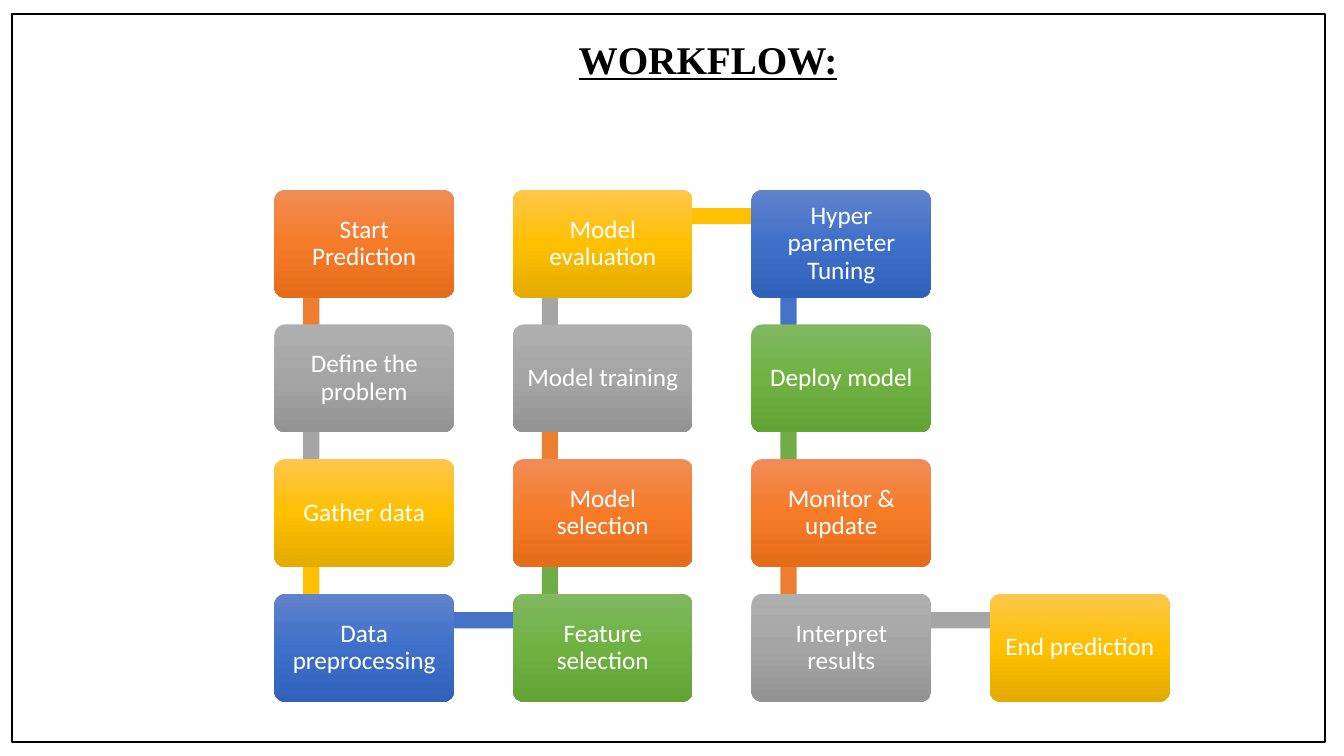
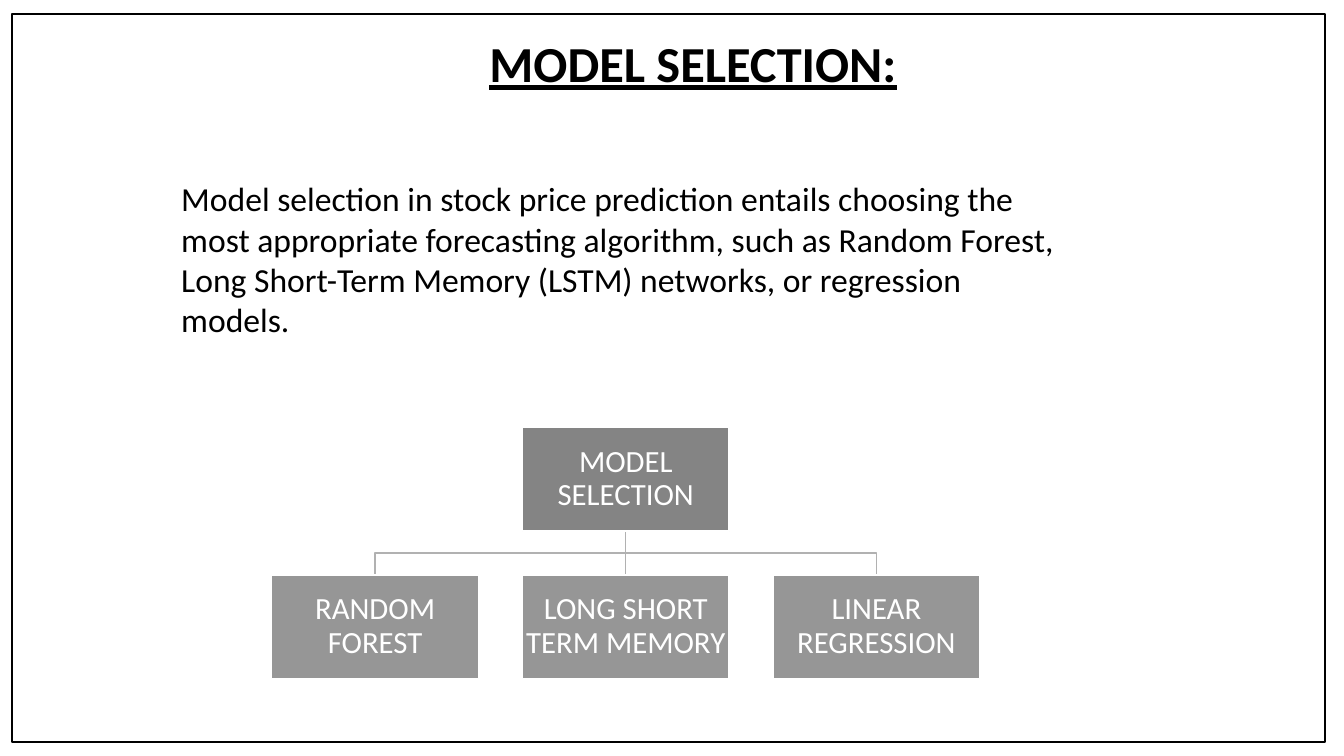
from copy import deepcopy
from functools import reduce
from itertools import cycle

from lxml.etree import SubElement
from pptx import Presentation
from pptx.dml.color import RGBColor
from pptx.enum.shapes import MSO_CONNECTOR, MSO_SHAPE
from pptx.enum.text import MSO_ANCHOR, MSO_AUTO_SIZE, PP_ALIGN
from pptx.oxml.ns import qn
from pptx.util import Pt

# Content
FLOW = {
    "title": "WORKFLOW:",
    "steps": [
        "Start Prediction", "Define the problem", "Gather data", "Data preprocessing",
        "Feature selection", "Model selection", "Model training", "Model evaluation",
        "Hyper parameter Tuning", "Deploy model", "Monitor & update", "Interpret results",
        "End prediction",
    ],
}
MODEL = {
    "title": "MODEL SELECTION:",
    "body": "Model selection in stock price prediction entails choosing the most "
            "appropriate forecasting algorithm, such as Random Forest, Long Short-Term "
            "Memory (LSTM) networks, or regression models.",
    "root": "MODEL SELECTION",
    "kids": ["RANDOM FOREST", "LONG SHORT TERM MEMORY", "LINEAR REGRESSION"],
}


# Theme
class Theme:
    black, white = "000000", "FFFFFF"
    root, kid, link = "848484", "969696", "B1B1B1"
    # Bar colour, then the box gradient from top to bottom
    hues = [
        ("ED7D31", ("F18C57", "F67B28", "E56C19")),
        ("A5A5A5", ("AFAFAF", "A5A5A5", "939393")),
        ("FFC000", ("FFC64B", "FFC000", "E3AB00")),
        ("4472C4", ("6183CB", "3E70CA", "3062BB")),
        ("70AD47", ("81B861", "6FB242", "62A336")),
    ]
    sans, serif = "Calibri", "Times New Roman"
    step, node, body, small, large = 18, 22, 24, 28, 36


def rgb(code):
    return RGBColor.from_string(code)


def put(obj, fmt):
    """Set each dotted attribute name in fmt on obj."""
    for key, val in fmt.items():
        *way, last = key.split(".")
        setattr(reduce(getattr, way, obj), last, val)


def font(size, color, name=Theme.sans, **more):
    return {"size": Pt(size), "color.rgb": rgb(color), "name": name, **more}


def stroke(color, width):
    return {"line.color.rgb": rgb(color), "line.width": Pt(width)}


def write(shape, text, face, para, pad=None, **frame):
    """Fill a shape with one paragraph of text."""
    tf = shape.text_frame
    put(tf, {"word_wrap": True, **frame})
    if pad is not None:
        put(tf, {f"margin_{side}": Pt(pad) for side in ("left", "top", "right", "bottom")})
    tf.text = text
    put(tf.paragraphs[0], para)
    put(tf.paragraphs[0].runs[0].font, face)


def label(shape, text, size, pad):
    write(shape, text, font(size, Theme.white),
          {"alignment": PP_ALIGN.CENTER, "line_spacing": 0.9},
          pad, vertical_anchor=MSO_ANCHOR.MIDDLE)


def box(slide, spot, fill=None, line=None, kind=MSO_SHAPE.RECTANGLE):
    shape = slide.shapes.add_shape(kind, *map(Pt, spot))
    shape.shadow.inherit = False
    if fill:
        shape.fill.solid()
        shape.fill.fore_color.rgb = rgb(fill)
    else:
        shape.fill.background()
    if line:
        put(shape, stroke(*line))
    else:
        shape.line.fill.background()
    return shape


def shade(shape, tones):
    """Give a shape an even gradient from top to bottom."""
    fill = shape.fill
    fill.gradient()
    fill.gradient_angle = 270
    first = shape._element.spPr.find(qn("a:gradFill")).find(qn("a:gsLst"))[0]
    first.addnext(deepcopy(first))
    for i, (stop, tone) in enumerate(zip(fill.gradient_stops, tones)):
        put(stop, {"position": i / (len(tones) - 1), "color.rgb": rgb(tone)})


def note(slide, spot, text, face, **para):
    area = slide.shapes.add_textbox(*map(Pt, spot))
    write(area, text, face, para, auto_size=MSO_AUTO_SIZE.SHAPE_TO_FIT_TEXT)


def title(slide, spot, text, size, name):
    face = font(size, Theme.black, name, bold=True, underline=True)
    note(slide, spot, text, face, alignment=PP_ALIGN.CENTER)


def frame(slide):
    """Put the page border on the layout, so that all slides share it."""
    edge = box(slide, (8.8, 10, 937.4, 520), line=(Theme.black, 1.5))._element
    edge.nvSpPr.cNvPr.set("id", "99")
    slide.slide_layout.shapes._spTree.append(edge)


# Workflow slide: columns that run down, up, down and end at the foot
def flow(slide):
    title(slide, (139.7, 21.6, 732.2, 41), FLOW["title"], Theme.small, Theme.serif)
    left, top, wide, high = 196, 135.6, 128.4, 77
    over, down = 170.4, 96.2
    inx, iny, thick = 26.4, 18.8, 11.6
    rows = 4

    def place(i):
        col, row = divmod(i, rows)
        if col % 2:
            row = rows - 1 - row
        return left + col * over, top + row * down

    steps = FLOW["steps"]
    for i, (text, (bar, tones)) in enumerate(zip(steps, cycle(Theme.hues))):
        x, y = place(i)
        if i + 1 < len(steps):
            nx, ny = place(i + 1)
            ax, ay = min(x, nx) + inx, min(y, ny) + iny
            if nx == x:
                spot = ax - thick / 2, ay, thick, down
            else:
                spot = ax, ay - thick / 2, over, thick
            box(slide, spot, bar)
        card = box(slide, (x, y, wide, high), kind=MSO_SHAPE.ROUNDED_RECTANGLE)
        card.adjustments[0] = 0.1
        shade(card, tones)
        label(card, text, Theme.step, 7.2)


# Links of the model tree
def link(slide, x, y, kx, ky):
    mid = (y + ky) / 2
    if kx == x:
        line = slide.shapes.add_connector(MSO_CONNECTOR.STRAIGHT, *map(Pt, (x, y, kx, ky)))
        SubElement(line._element.spPr, qn("a:effectLst"))
    else:
        pen = slide.shapes.build_freeform(Pt(x), Pt(y))
        turns = [(x, mid), (kx, mid), (kx, ky)]
        pen.add_line_segments([(Pt(a), Pt(b)) for a, b in turns], close=False)
        line = pen.convert_to_shape()
        line.shadow.inherit = False
        line.fill.background()
    put(line, stroke(Theme.link, 1))


# Model slide: a paragraph over a root with its children
def model(slide):
    title(slide, (122.4, 19.4, 745.2, 51), MODEL["title"], Theme.large, Theme.sans)
    note(slide, (122.4, 123.8, 648, 124), MODEL["body"], font(Theme.body, Theme.black))
    wide, high, gap = 147.8, 74, 31.2
    mid, top, low = 447, 305.4, 410.6
    kids = MODEL["kids"]
    spots = [mid + (i - (len(kids) - 1) / 2) * (wide + gap) for i in range(len(kids))]
    for x in spots:
        link(slide, mid, top + high, x, low)
    nodes = [(MODEL["root"], mid, top, Theme.root)]
    nodes += [(text, x, low, Theme.kid) for text, x in zip(kids, spots)]
    for text, x, y, fill in nodes:
        node = box(slide, (x - wide / 2, y, wide, high), fill, (Theme.white, 1))
        label(node, text, Theme.node, 1.2)


def main():
    deck = Presentation()
    put(deck, {"slide_width": Pt(960), "slide_height": Pt(540)})
    blank = deck.slide_layouts[6]
    pages = [(deck.slides.add_slide(blank), draw) for draw in (flow, model)]
    frame(pages[0][0])
    for slide, draw in pages:
        draw(slide)
    deck.save("out.pptx")


if __name__ == "__main__":
    main()
